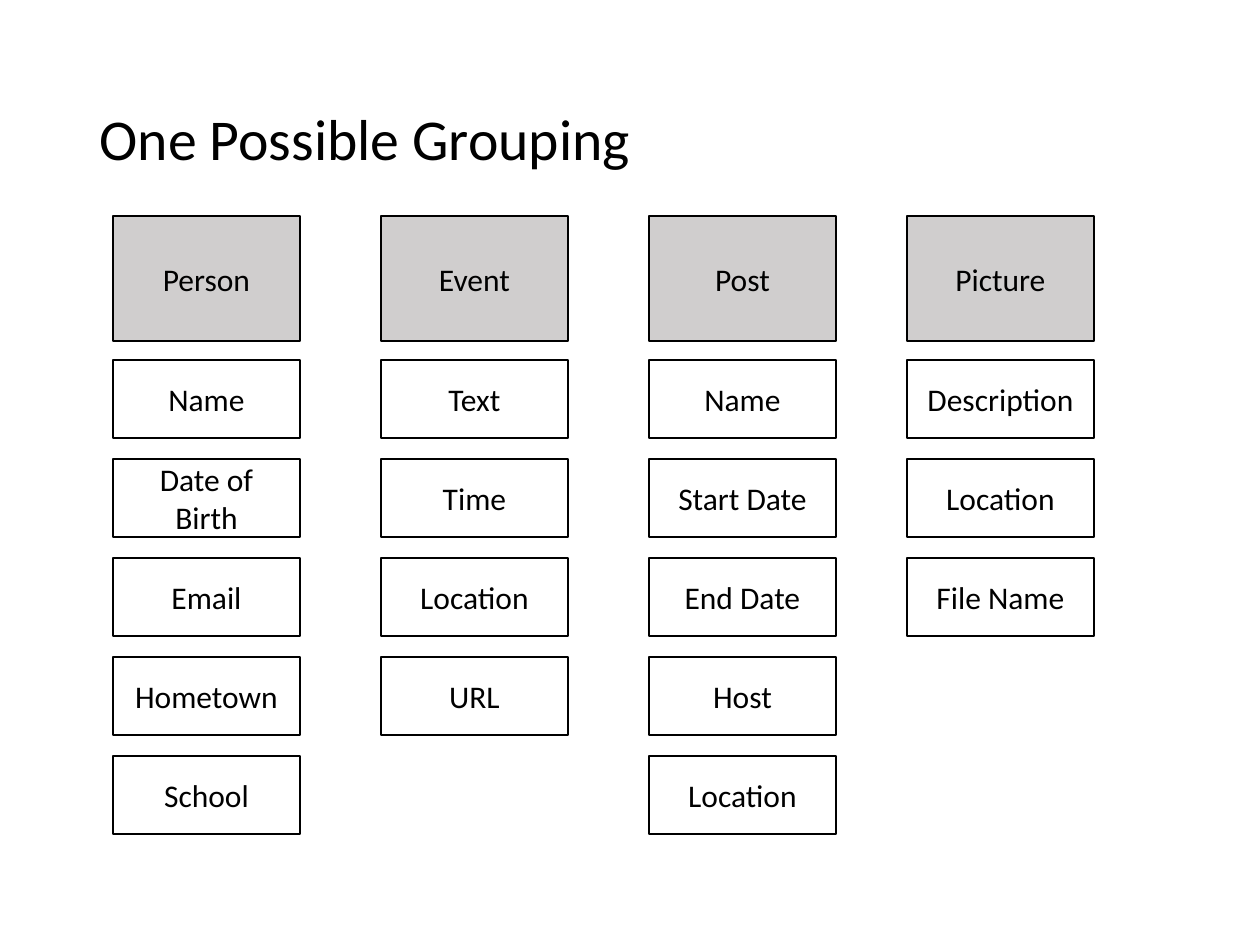
import pptx
import pptx.util
import pptx.dml.color
import pptx.enum.shapes
import pptx.enum.text

# Content: column left edge, heading, attributes
TITLE = "One Possible Grouping"
GROUPS = [
    (113, "Person", ["Name", "Date of Birth", "Email", "Hometown", "School"]),
    (381, "Event", ["Text", "Time", "Location", "URL"]),
    (649, "Post", ["Name", "Start Date", "End Date", "Host", "Location"]),
    (907, "Picture", ["Description", "Location", "File Name"]),
]

# Layout in pixels
SCALE = 914400 / 126
SLIDE_SIZE = (1260, 945)
TITLE_BOX = (87, 50, 1086, 183)
BOX_WIDTH = 187
HEADING_TOP, HEADING_HEIGHT = 216, 125
FIRST_ROW, ROW_HEIGHT, ROW_STEP = 360, 78, 99

# Formats
BLACK, WHITE, GREY = "000000", "FFFFFF", "D0CECE"
TITLE_FONT = {"name": "Calibri", "size": pptx.util.Pt(33)}
BOX_FONT = {"name": "Calibri", "size": pptx.util.Pt(18)}
FRAME = {
    "word_wrap": True,
    "auto_size": pptx.enum.text.MSO_AUTO_SIZE.NONE,
    "vertical_anchor": pptx.enum.text.MSO_ANCHOR.MIDDLE,
}
TITLE_PARAGRAPH = {"alignment": pptx.enum.text.PP_ALIGN.LEFT, "line_spacing": 0.9}
BOX_PARAGRAPH = {"alignment": pptx.enum.text.PP_ALIGN.CENTER}


def emu(pixels):
    return pptx.util.Emu(round(pixels * SCALE))


def color(hex_string):
    return pptx.dml.color.RGBColor.from_string(hex_string)


def apply(target, values):
    for name, value in values.items():
        setattr(target, name, value)


def write(shape, text, font, paragraph_format):
    apply(shape.text_frame, FRAME)
    paragraph = shape.text_frame.paragraphs[0]
    apply(paragraph, paragraph_format)
    run = paragraph.add_run()
    run.text = text
    apply(run.font, font)
    run.font.color.rgb = color(BLACK)


def add_box(slide, left, top, height, fill, text):
    shape = slide.shapes.add_shape(
        pptx.enum.shapes.MSO_SHAPE.RECTANGLE,
        *map(emu, (left, top, BOX_WIDTH, height)))
    shape.shadow.inherit = False
    shape.fill.solid()
    shape.fill.fore_color.rgb = color(fill)
    shape.line.color.rgb = color(BLACK)
    shape.line.width = pptx.util.Pt(1)
    write(shape, text, BOX_FONT, BOX_PARAGRAPH)


# Slide and title
presentation = pptx.Presentation()
presentation.slide_width, presentation.slide_height = map(emu, SLIDE_SIZE)
slide = presentation.slides.add_slide(presentation.slide_layouts[5])
title = slide.shapes.title
apply(title, dict(zip(("left", "top", "width", "height"), map(emu, TITLE_BOX))))
write(title, TITLE, TITLE_FONT, TITLE_PARAGRAPH)

# Columns of boxes
for left, heading, attributes in GROUPS:
    add_box(slide, left, HEADING_TOP, HEADING_HEIGHT, GREY, heading)
    for row, attribute in enumerate(attributes):
        add_box(slide, left, FIRST_ROW + row * ROW_STEP, ROW_HEIGHT, WHITE, attribute)

presentation.save("out.pptx")
